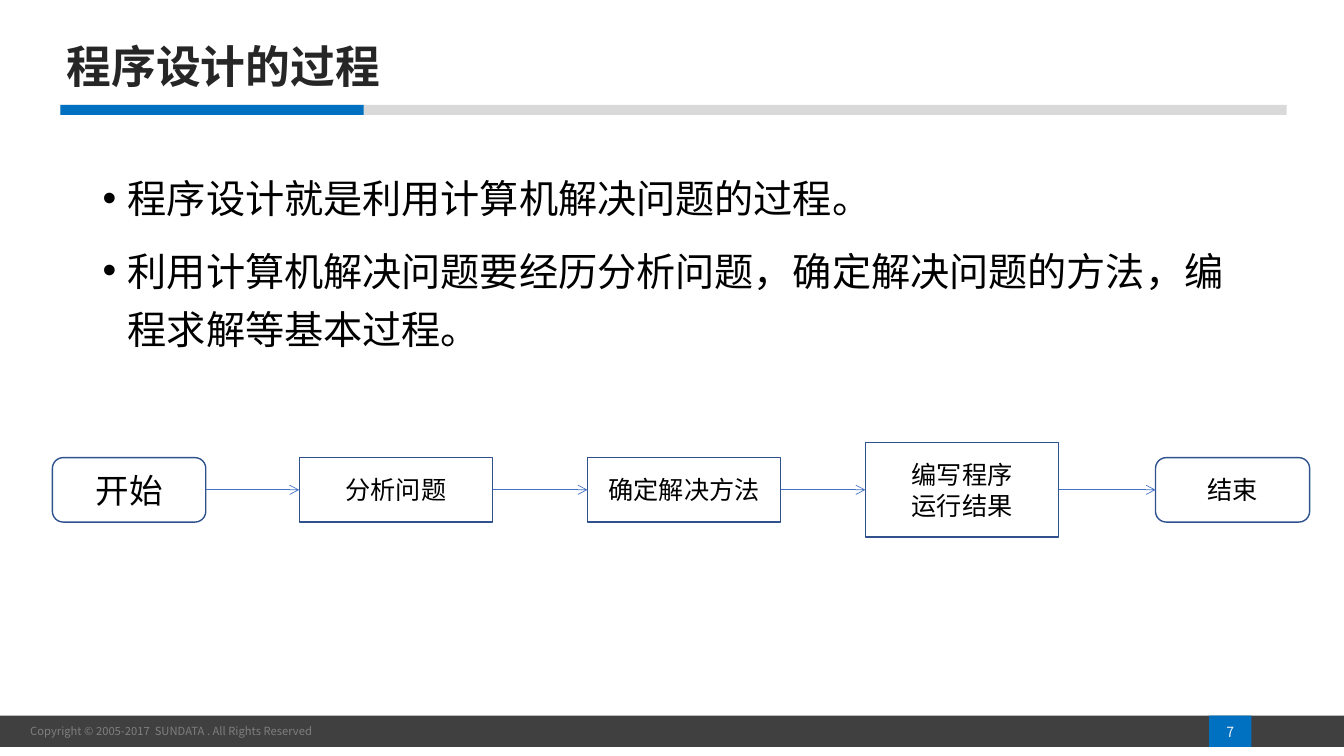
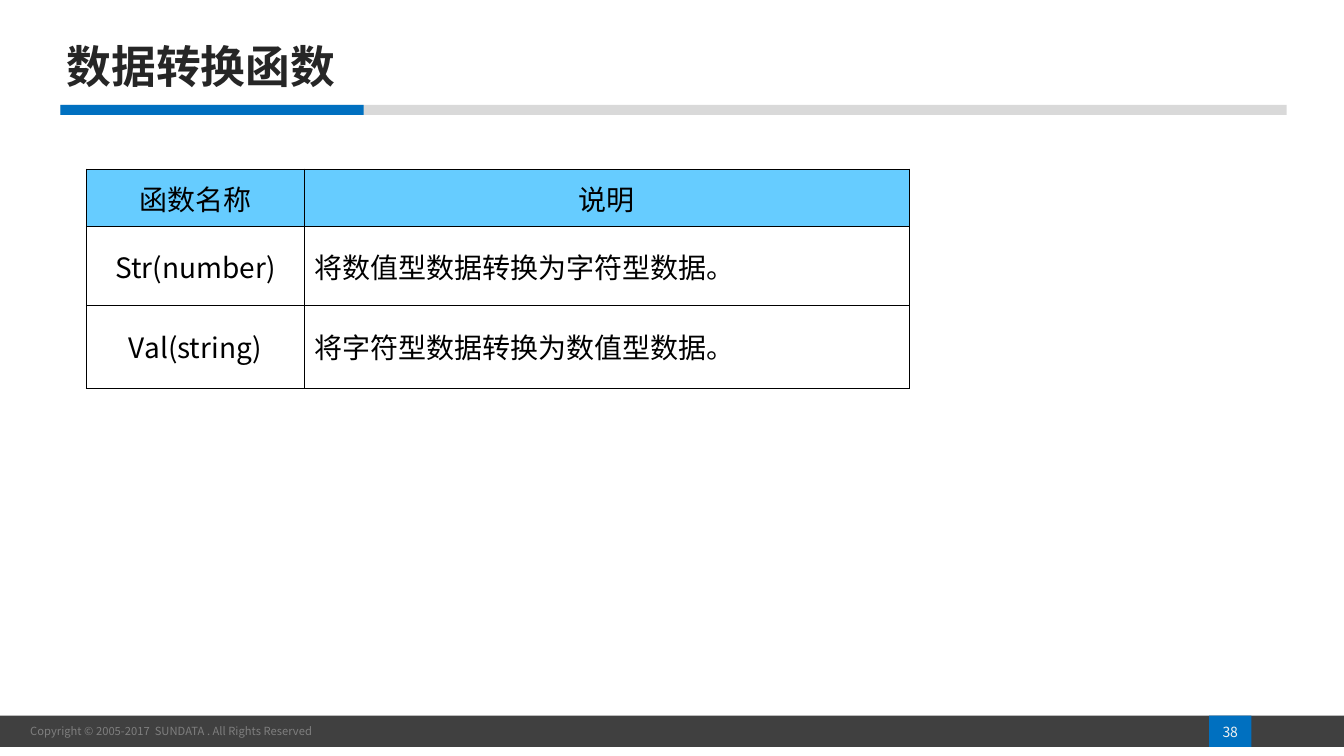
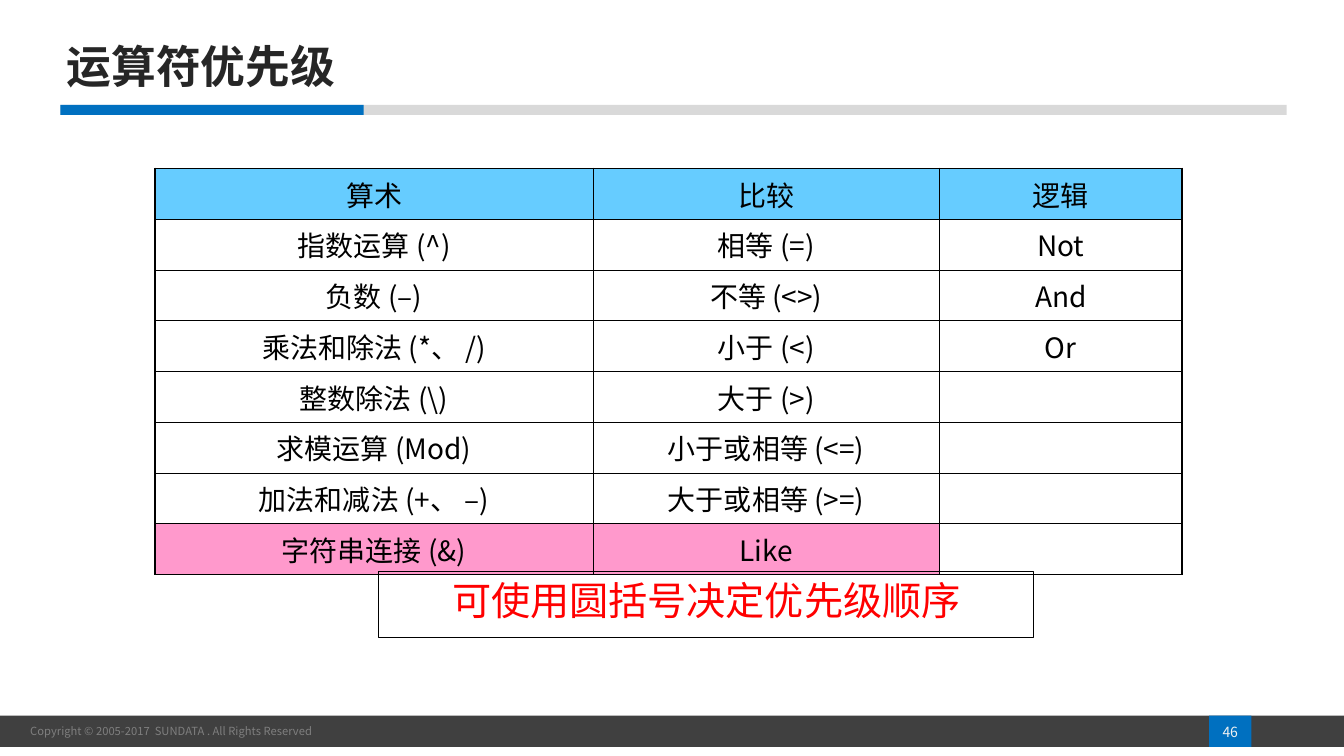
from pptx import Presentation
from pptx.dml.color import RGBColor as Rgb
from pptx.enum.shapes import MSO_CONNECTOR as Link, MSO_SHAPE as Form
from pptx.enum.text import MSO_ANCHOR as Anchor, PP_ALIGN as Align
from pptx.oxml import parse_xml
from pptx.oxml.ns import nsdecls, qn
from pptx.util import Inches, Pt

FONT = "Noto Sans CJK SC"
HUES = {
    "ink": "000000", "title": "262626", "blue": "0070C0", "rule": "D9D9D9",
    "foot": "404040", "copy": "7F7F7F", "page": "F2F2F2", "edge": "2F528F",
    "arrow": "4472C4", "head": "66CCFF", "pink": "FF99CC", "red": "FF0000",
}
PAGE = (0, 0, Inches(13.34), Inches(7.5))


def part(box, x, y, w, h):
    left, top, wide, high = box
    return (int(left + wide * x / 100), int(top + high * y / 100),
            int(wide * w / 100), int(high * h / 100))


def hue(name):
    return Rgb.from_string(HUES[name])


def node(tag, inner="", **attrs):
    pairs = " ".join(f'{key}="{val}"' for key, val in attrs.items())
    return parse_xml(f'<a:{tag} {nsdecls("a")} {pairs}>{inner}</a:{tag}>')


def tint(name):
    return f'<a:solidFill><a:srgbClr val="{HUES[name]}"/></a:solidFill>'


def write(frame, text, size=18, color="ink", bold=False, align=Align.LEFT,
          anchor=Anchor.MIDDLE, spacing=None, gap=0, bullet=False):
    frame.word_wrap = True
    frame.vertical_anchor = anchor
    for i, line in enumerate(text.split("\n")):
        para = frame.paragraphs[0] if i == 0 else frame.add_paragraph()
        if bullet:
            props = para._p.get_or_add_pPr()
            props.set("marL", str(Inches(0.25)))
            props.set("indent", str(-Inches(0.25)))
            props.append(node("buFont", typeface="Arial"))
            props.append(node("buChar", char="•"))
        para.alignment = align
        if spacing:
            para.line_spacing = spacing
        para.space_before = Pt(gap if i else 0)
        run = para.add_run()
        run.text = line
        font = run.font
        font.size, font.bold, font.name = Pt(size), bold, FONT
        font.color.rgb = hue(color)
        run._r.get_or_add_rPr().append(node("ea", typeface=FONT))


def block(slide, box, form=Form.RECTANGLE, fill=None, line=None, width=1):
    shape = slide.shapes.add_shape(form, *box)
    shape.shadow.inherit = False
    if fill:
        shape.fill.solid()
        shape.fill.fore_color.rgb = hue(fill)
    else:
        shape.fill.background()
    if line:
        shape.line.color.rgb = hue(line)
        shape.line.width = Pt(width)
    else:
        shape.line.fill.background()
    return shape


def footer(slide, box, page):
    band = block(slide, box, fill="foot").text_frame
    band.margin_left = Inches(0.3)
    write(band, "Copyright © 2005-2017  SUNDATA . All Rights Reserved",
          size=8, color="copy")
    badge = block(slide, part(box, 89.96, 0, 3.15, 100), fill="blue").text_frame
    badge.margin_left = badge.margin_right = badge.margin_bottom = 0
    badge.margin_top = Inches(0.02)
    write(badge, str(page), size=10, color="page", align=Align.CENTER)


def start(deck, title, page):
    slide = deck.slides.add_slide(deck.slide_layouts[5])
    footer(slide, part(PAGE, 0, 94.67, 100, 4.13), page)
    rule = part(PAGE, 4.5, 13.87, 91.23, 1.33)
    block(slide, rule, fill="rule")
    block(slide, part(rule, 0, 0, 24.73, 100), fill="blue")
    head = slide.shapes.title
    head.left, head.top, head.width, head.height = part(PAGE, 4.2, 2.13, 52.77, 14)
    write(head.text_frame, title, size=32, color="title", bold=True, spacing=0.9)
    return slide


def join(slide, first, second):
    line = slide.shapes.add_connector(Link.STRAIGHT, 0, 0, 0, 0)
    line.begin_connect(first, 3)
    line.end_connect(second, 1)
    line.line.color.rgb = hue("arrow")
    line.line.width = Pt(0.5)
    line.line._get_or_add_ln().append(node("tailEnd", type="arrow"))
    line._element.spPr.append(node("effectLst"))


def flow(slide, box, steps):
    shapes = []
    for text, x, wide, high, form, size in steps:
        step = block(slide, part(box, x, (100 - high) / 2, wide, high), form, line="edge")
        write(step.text_frame, text, size=size, align=Align.CENTER)
        shapes.append(step)
    for first, second in zip(shapes, shapes[1:]):
        join(slide, first, second)


def border(cell, sides):
    props = cell._tc.get_or_add_tcPr()
    fill = props.find(qn("a:solidFill"))
    for side, width in sides.items():
        fill.addprevious(node(side, tint("ink"), w=Pt(width)))


def grid(slide, box, rows, cols, highs, left=(), pink=(), base=1.08):
    last, end = len(rows) - 1, len(cols) - 1
    table = slide.shapes.add_table(len(rows), len(cols), *box).table
    table.horz_banding = False
    for col, share in zip(table.columns, cols):
        col.width = int(box[2] * share / sum(cols))
    for row, share in zip(table.rows, highs):
        row.height = int(box[3] * share / sum(highs))
    for r, row in enumerate(rows):
        for c, text in enumerate(row):
            cell = table.cell(r, c)
            cell.fill.solid()
            if r == 0:
                cell.fill.fore_color.rgb = hue("head")
            elif (r, c) in pink:
                cell.fill.fore_color.rgb = hue("pink")
            else:
                cell.fill.fore_color.rgb = Rgb(255, 255, 255)
            cell.vertical_anchor = Anchor.MIDDLE
            if text:
                align = Align.LEFT if r and c in left else Align.CENTER
                write(cell.text_frame, text, size=20, align=align)
            border(cell, {"lnL": 0.45 if c else 1.08,
                          "lnR": 1.08 if c == end else 0.45,
                          "lnT": 0.45 if r else 1.08,
                          "lnB": base if r == last else 0.45})


def process(deck):
    slide = start(deck, "程序设计的过程", 7)
    body = slide.shapes.add_textbox(*part(PAGE, 6.9, 20.93, 86.21, 31.47))
    write(body.text_frame,
          "程序设计就是利用计算机解决问题的过程。\n"
          "利用计算机解决问题要经历分析问题，确定解决问题的方法，编程求解等基本过程。",
          size=28, anchor=Anchor.TOP, spacing=1.24, gap=10, bullet=True)
    ends, rect = Form.ROUNDED_RECTANGLE, Form.RECTANGLE
    flow(slide, part(PAGE, 3.9, 58.53, 93.55, 12.53), [
        ("开始", 0, 12.2, 68, ends, 24),
        ("分析问题", 19.63, 15.38, 68, rect, 18),
        ("确定解决方法", 42.55, 15.38, 68, rect, 18),
        ("编写程序\n运行结果", 64.66, 15.38, 100, rect, 18),
        ("结束", 87.74, 12.26, 68, ends, 18),
    ])


def convert(deck):
    slide = start(deck, "数据转换函数", 38)
    grid(slide, part(PAGE, 6.45, 22.4, 61.24, 28.93), [
        ("函数名称", "说明"),
        ("Str(number)", "将数值型数据转换为字符型数据。"),
        ("Val(string)", "将字符型数据转换为数值型数据。"),
    ], cols=(2.16, 6.01), highs=(0.57, 0.78, 0.82), left=(1,), base=0.45)


def order(deck):
    slide = start(deck, "运算符优先级", 46)
    grid(slide, part(PAGE, 11.54, 22.27, 76.42, 50.13), [
        ("算术", "比较", "逻辑"),
        ("指数运算 (^)", "相等 (=)", "Not"),
        ("负数 (–)", "不等 (<>)", "And"),
        ("乘法和除法 (*、 /)", "小于 (<)", "Or"),
        ("整数除法 (\\)", "大于 (>)", ""),
        ("求模运算 (Mod)", "小于或相等 (<=)", ""),
        ("加法和减法 (+、 –)", "大于或相等 (>=)", ""),
        ("字符串连接 (&)", "Like", ""),
    ], cols=(4.35, 3.44, 2.41), highs=[1] * 8, pink=((7, 0), (7, 1)))
    note = block(slide, part(PAGE, 28.19, 75.6, 48.73, 8.8), line="ink", width=0.75)
    write(note.text_frame, "可使用圆括号决定优先级顺序", size=28, color="red",
          align=Align.CENTER, anchor=Anchor.TOP)


def main():
    deck = Presentation()
    deck.slide_width, deck.slide_height = PAGE[2:]
    for build in (process, convert, order):
        build(deck)
    deck.save("out.pptx")


if __name__ == "__main__":
    main()
